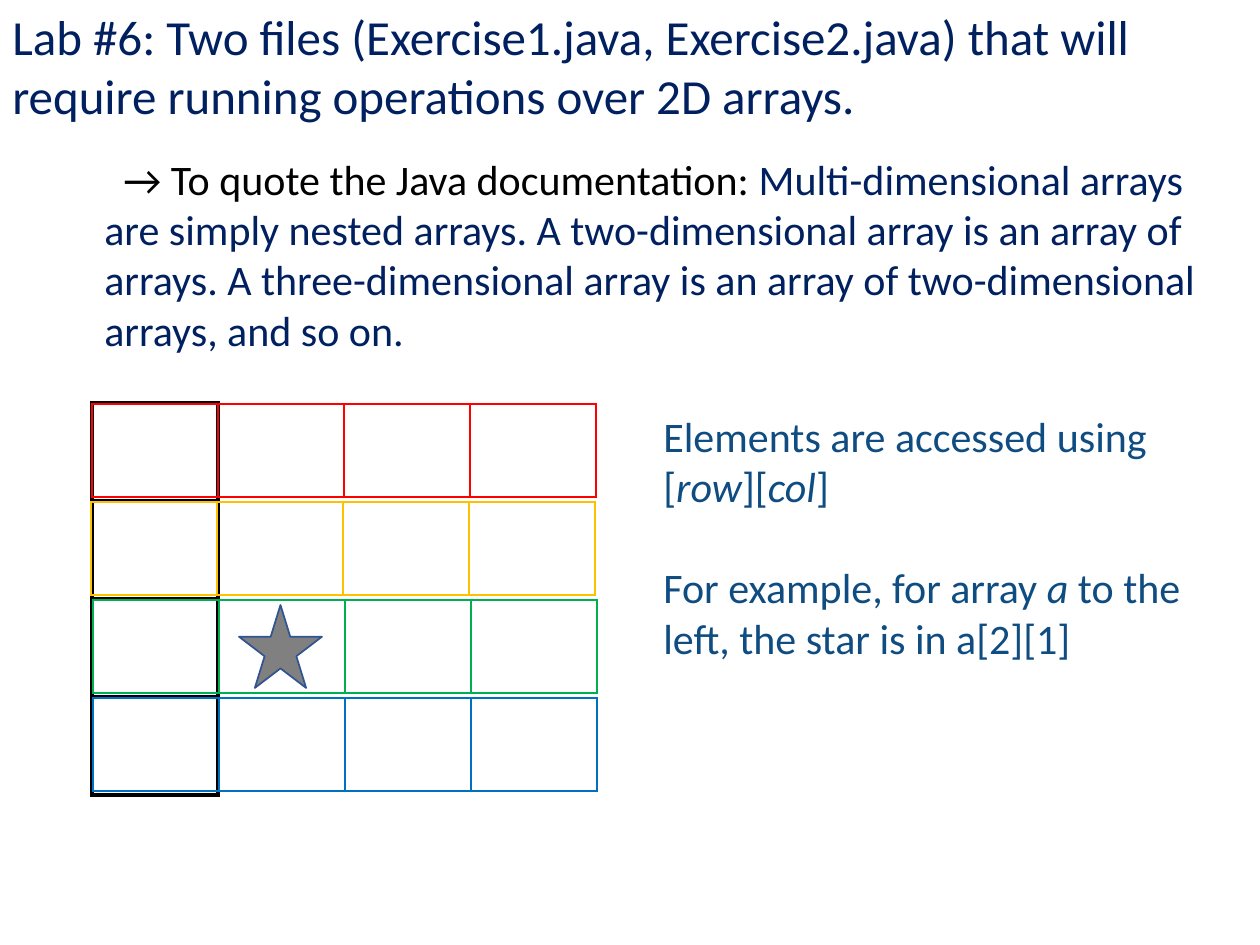
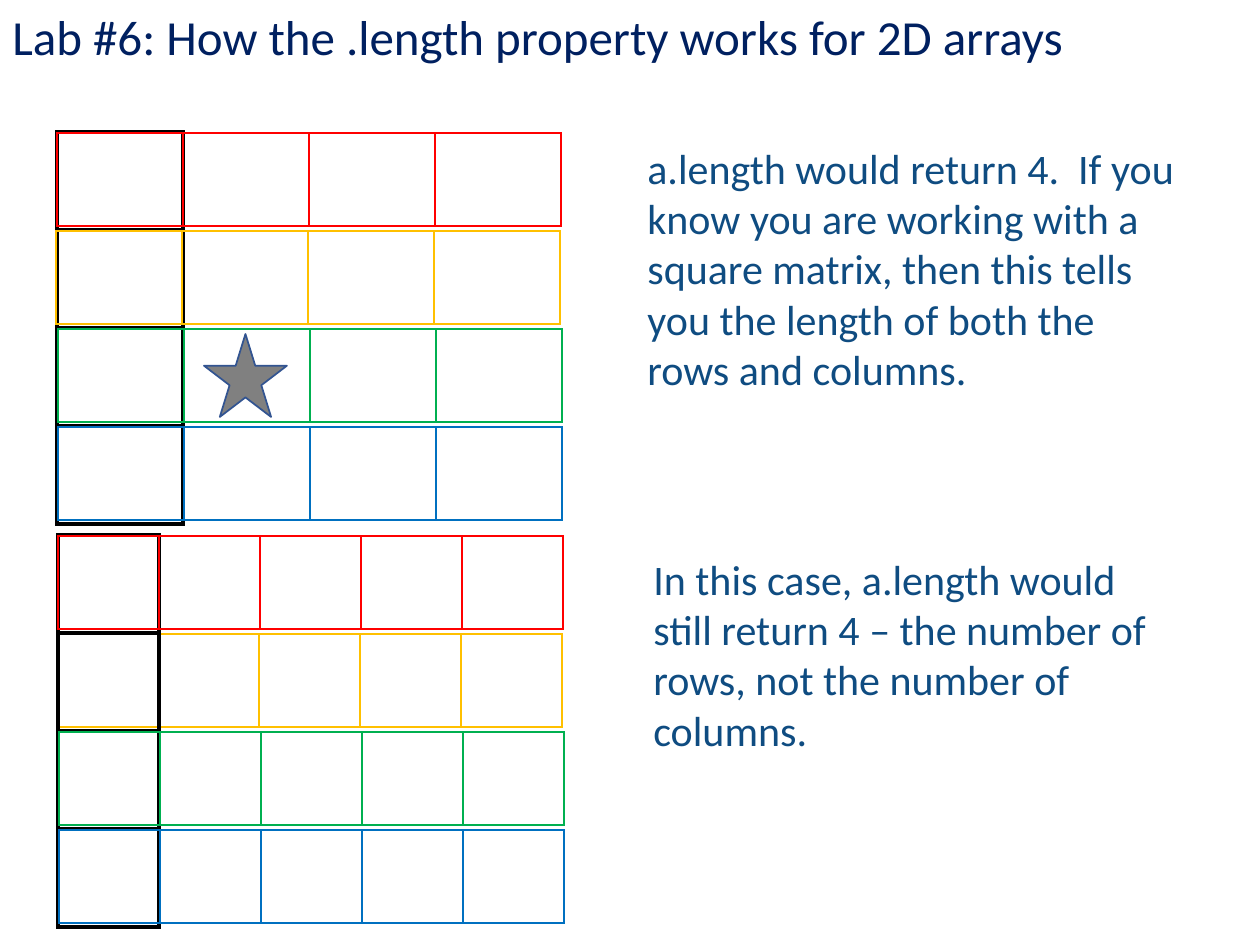
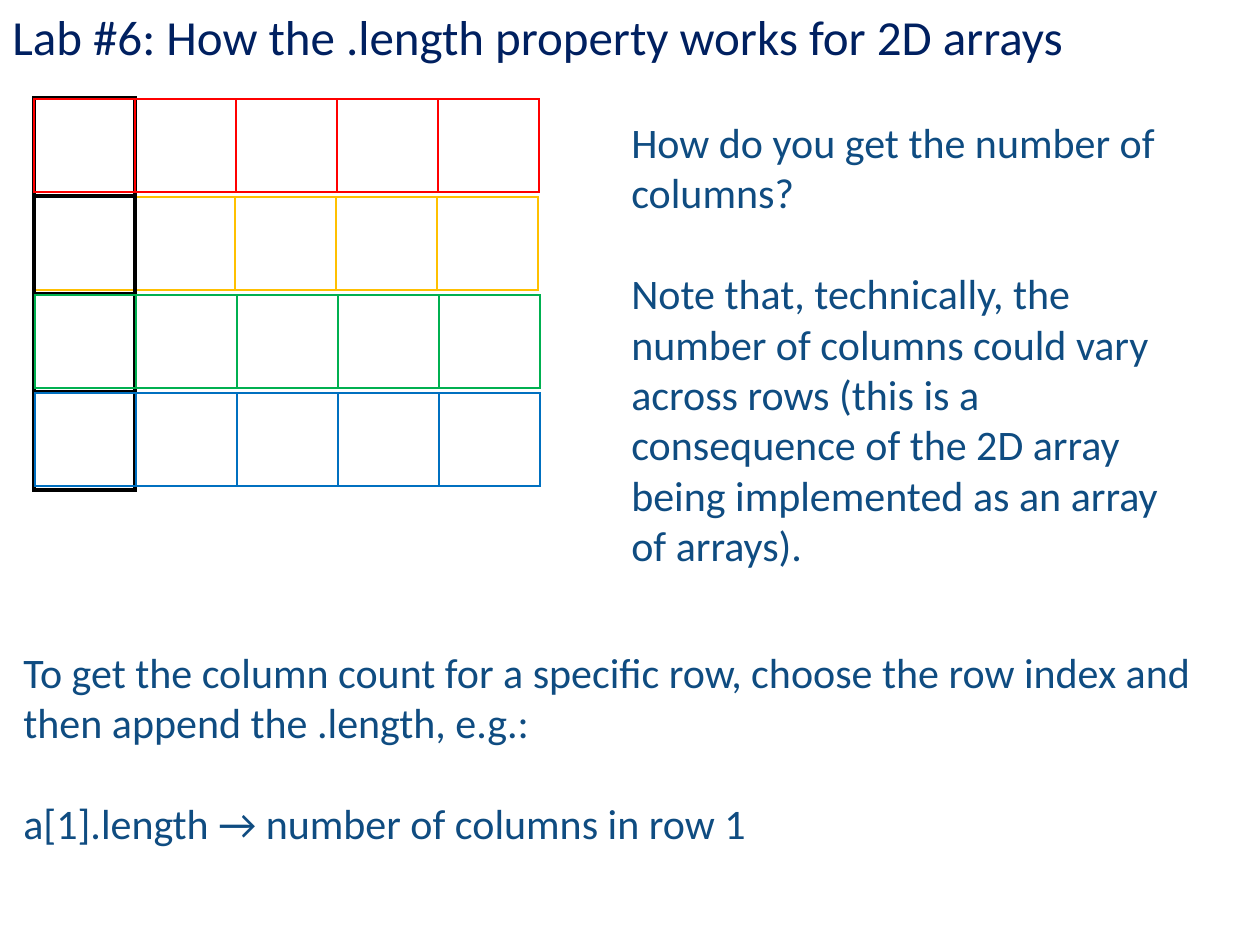
"""Build three slides that explain two-dimensional arrays."""
from lxml import etree
from pptx import Presentation
from pptx.dml.color import RGBColor
from pptx.enum.shapes import MSO_SHAPE
from pptx.enum.text import MSO_AUTO_SIZE
from pptx.oxml.ns import qn
from pptx.util import Emu, Pt

STAR = MSO_SHAPE.STAR_5_POINT
FIT_TEXT = MSO_AUTO_SIZE.SHAPE_TO_FIT_TEXT

EMU_PER_PX = 914400 / 126
SLIDE_WIDTH, SLIDE_HEIGHT = 1260, 945
BLANK_LAYOUT = 6

BLACK = RGBColor(0x00, 0x00, 0x00)
WHITE = RGBColor(0xFF, 0xFF, 0xFF)
NAVY = RGBColor(0x00, 0x20, 0x60)
BLUE = RGBColor(0x0F, 0x4C, 0x81)
STAR_FILL = RGBColor(0x80, 0x80, 0x80)
STAR_LINE = RGBColor(0x32, 0x54, 0x91)
RED = RGBColor(0xFF, 0x00, 0x00)
YELLOW = RGBColor(0xFF, 0xC0, 0x00)
GREEN = RGBColor(0x00, 0xB0, 0x50)
ROW_BLUE = RGBColor(0x00, 0x70, 0xC0)

ROW_COLOURS = [RED, YELLOW, GREEN, ROW_BLUE]
ROW_NUDGES = [0, -1, 1, 1]
ROW_PITCH, ROW_HEIGHT = 98, 93
WIDE_CELL, NARROW_CELL = 126, 101
STAR_SIZE = 83

TITLE_FONT = {"name": "Calibri", "size": Pt(28)}
BODY_FONT = {"name": "Calibri", "size": Pt(24)}
PARAGRAPH_GAP = Pt(29)
ITALIC = {"italic": True}
LENGTH_TITLE = "Lab #6: How the .length property works for 2D arrays"


def px(value):
    """Turn pixels into EMU."""
    return Emu(round(value * EMU_PER_PX))


def set_values(target, values):
    """Set each named attribute of the target."""
    for name, value in values.items():
        setattr(target, name, value)


def set_font(font, values, colour):
    """Give a font its values and its colour."""
    set_values(font, values)
    font.color.rgb = colour


def add_text(slide, box, paragraphs, font=BODY_FONT, colour=BLUE, indent=0):
    """Add a wrapped text box; each paragraph lists (text, colour, font values) runs."""
    frame = slide.shapes.add_textbox(*map(px, box)).text_frame
    set_values(frame, {"word_wrap": True, "auto_size": FIT_TEXT})
    for index, runs in enumerate(paragraphs):
        paragraph = frame.add_paragraph() if index else frame.paragraphs[0]
        if index:
            paragraph.space_before = PARAGRAPH_GAP
        if indent:
            paragraph._p.get_or_add_pPr().set("indent", str(px(indent)))
        for text, run_colour, values in runs:
            run = paragraph.add_run()
            run.text = text
            set_font(run.font, {**font, **values}, run_colour or colour)


def plain(text):
    """Make a paragraph of one run in the default colour."""
    return [(text, None, {})]


def add_title(slide, text, height=72):
    """Add the slide title at the top left corner."""
    add_text(slide, (0, 0, 1211, height), [plain(text)], TITLE_FONT, NAVY)


def set_borders(cell, colour, width):
    """Draw all four borders of a table cell."""
    properties = cell._tc.get_or_add_tcPr()
    for position, side in enumerate(("a:lnL", "a:lnR", "a:lnT", "a:lnB")):
        line = etree.Element(qn(side), w=str(Pt(width)))
        fill = etree.SubElement(line, qn("a:solidFill"))
        etree.SubElement(fill, qn("a:srgbClr"), val=str(colour))
        properties.insert(position, line)


def add_cells(slide, left, top, counts, cell_size, colour, width):
    """Add a table of empty, outlined cells."""
    rows, columns = counts
    cell_width, cell_height = cell_size
    frame = slide.shapes.add_table(rows, columns, px(left), px(top),
                                   px(columns * cell_width), px(rows * cell_height))
    table = frame.table
    set_values(table, {"first_row": False, "horz_banding": False})
    for column in table.columns:
        column.width = px(cell_width)
    for row in table.rows:
        row.height = px(cell_height)
    for cell in table.iter_cells():
        cell.fill.background()
        set_borders(cell, colour, width)


def add_row_array(slide, left, top, row, columns, cell_width):
    """Add one coloured inner array of the grid."""
    add_cells(slide, left + ROW_NUDGES[row], top + 1 + row * ROW_PITCH,
              (1, columns), (cell_width, ROW_HEIGHT), ROW_COLOURS[row], 1)


def add_array(slide, left, top, columns, cell_width, rows_behind=()):
    """Add an outer array as a black column, with its inner arrays as rows."""
    rows = range(len(ROW_COLOURS))
    for row in rows_behind:
        add_row_array(slide, left, top, row, columns, cell_width)
    add_cells(slide, left, top, (len(rows), 1), (cell_width, ROW_PITCH), BLACK, 2.25)
    for row in rows:
        if row not in rows_behind:
            add_row_array(slide, left, top, row, columns, cell_width)


def add_star(slide, left, top, row, column):
    """Add a star centred in one cell of a wide array."""
    star_left = left + column * WIDE_CELL + (WIDE_CELL - STAR_SIZE) // 2
    star_top = top + 1 + row * ROW_PITCH + (ROW_HEIGHT - STAR_SIZE) // 2
    star = slide.shapes.add_shape(STAR, px(star_left), px(star_top),
                                  px(STAR_SIZE), px(STAR_SIZE))
    star.shadow.inherit = False
    star.fill.solid()
    star.fill.fore_color.rgb = STAR_FILL
    star.line.color.rgb = STAR_LINE
    star.line.width = Pt(1)


def add_starred_array(slide, left, top):
    """Add a square array with a star at [2][1]."""
    add_array(slide, left, top, 4, WIDE_CELL)
    add_star(slide, left, top, 2, 1)


def add_slide(presentation):
    """Add a blank slide with a white background."""
    slide = presentation.slides.add_slide(presentation.slide_layouts[BLANK_LAYOUT])
    slide.background.fill.solid()
    slide.background.fill.fore_color.rgb = WHITE
    return slide


def build_access_slide(presentation):
    """Explain how elements are accessed."""
    slide = add_slide(presentation)
    add_title(slide, "Lab #6: Two files (Exercise1.java, Exercise2.java) that will "
                     "require running operations over 2D arrays.", 131)
    add_text(slide, (92, 147, 1119, 217), [[
        ("→ To quote the Java documentation: ", BLACK, {}),
        ("Multi-dimensional arrays are simply nested arrays. A two-dimensional array "
         "is an array of arrays. A three-dimensional array is an array of "
         "two-dimensional arrays, and so on.", NAVY, {}),
    ]], indent=19)
    add_starred_array(slide, 92, 403)
    add_text(slide, (651, 404, 552, 267), [
        [("Elements are accessed using [", None, {}), ("row", None, ITALIC),
         ("][", None, {}), ("col", None, ITALIC), ("]", None, {})],
        [("For example, for array ", None, {}), ("a ", None, ITALIC),
         ("to the left, the star is in a[2][1]", None, {})],
    ])


def build_length_slide(presentation):
    """Show what .length returns for two arrays."""
    slide = add_slide(presentation)
    add_title(slide, LENGTH_TITLE)
    add_starred_array(slide, 57, 132)
    add_text(slide, (635, 136, 552, 267), [plain(
        "a.length would return 4.  If you know you are working with a square matrix, "
        "then this tells you the length of both the rows and columns.")])
    add_array(slide, 58, 535, 5, NARROW_CELL, rows_behind=(1,))
    add_text(slide, (641, 547, 552, 217), [plain(
        "In this case, a.length would still return 4 – the number of rows, "
        "not the number of columns.")])


def build_columns_slide(presentation):
    """Show how to get the number of columns."""
    slide = add_slide(presentation)
    add_title(slide, LENGTH_TITLE)
    add_array(slide, 34, 98, 5, NARROW_CELL, rows_behind=(1,))
    add_text(slide, (619, 110, 552, 471), [
        plain("How do you get the number of columns?"),
        plain("Note that, technically, the number of columns could vary across rows "
              "(this is a consequence of the 2D array being implemented as an array "
              "of arrays)."),
    ])
    add_text(slide, (11, 640, 1200, 217), [
        plain("To get the column count for a specific row, choose the row index and "
              "then append the .length, e.g.:"),
        plain("a[1].length → number of columns in row 1"),
    ])


def main():
    """Build and save the presentation."""
    presentation = Presentation()
    set_values(presentation, {"slide_width": px(SLIDE_WIDTH),
                              "slide_height": px(SLIDE_HEIGHT)})
    build_access_slide(presentation)
    build_length_slide(presentation)
    build_columns_slide(presentation)
    presentation.save("out.pptx")


if __name__ == "__main__":
    main()
